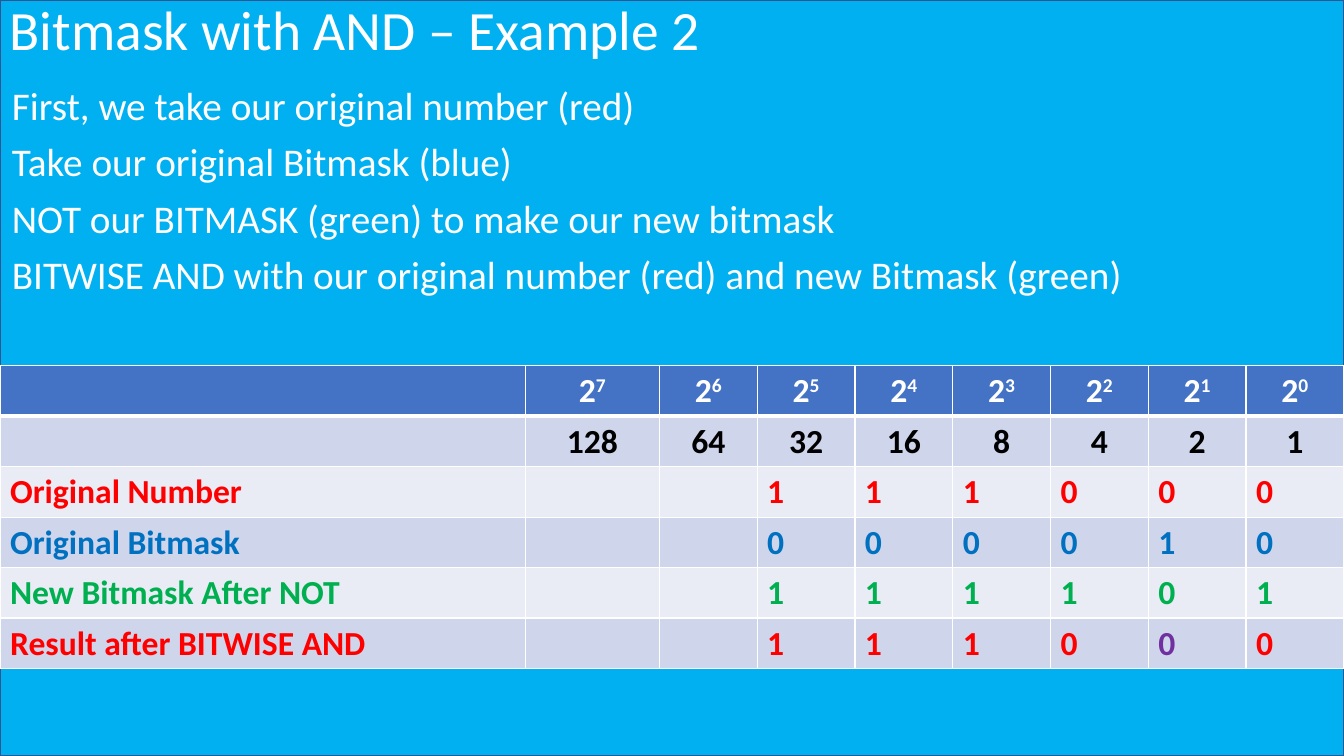
from lxml import etree
from pptx import Presentation
from pptx.dml.color import RGBColor
from pptx.enum.shapes import MSO_SHAPE
from pptx.enum.text import MSO_ANCHOR, PP_ALIGN
from pptx.oxml.ns import qn
from pptx.util import Inches, Pt

RECTANGLE = MSO_SHAPE.RECTANGLE
TOP, MIDDLE = MSO_ANCHOR.TOP, MSO_ANCHOR.MIDDLE
LEFT, CENTER = PP_ALIGN.LEFT, PP_ALIGN.CENTER

WIDTH, HEIGHT = 13.33, 7.5
FONT = "Calibri"
WHITE, BLACK = "FFFFFF", "000000"
RED, BLUE, GREEN, PURPLE = "FF0000", "0070C0", "00B050", "7030A0"
SKY, OUTLINE = "00B0F0", "325491"
HEADER_FILL, BAND_FILLS = "4472C4", ("CFD5EA", "E9EBF5")

TITLE = "Bitmask with AND – Example 2"
STEPS = [
    "First, we take our original number (red)",
    "Take our original Bitmask (blue)",
    "NOT our BITMASK (green) to make our new bitmask",
    "BITWISE AND with our original number (red) and new Bitmask (green)",
]
BITS = 8
BIT_ROWS = [
    ("Original Number", "111000", RED),
    ("Original Bitmask", "000010", BLUE),
    ("New Bitmask After NOT", "111101", GREEN),
    ("Result after BITWISE AND", "111000", RED),
]
CLEARED_BIT = (5, 7)
LABEL_WIDTH, FIRST_BIT_WIDTH, BIT_WIDTH = 5.21, 1.33, 0.97
TABLE_TOP, ROW_HEIGHT = 3.63, 0.5


def rgb(value):
    """Turn a hex string into a colour."""
    return RGBColor.from_string(value)


def style(para, size, color, bold=False):
    """Set the font of a whole paragraph."""
    para.font.name = FONT
    para.font.size = Pt(size)
    para.font.bold = bold
    para.font.color.rgb = rgb(color)


def add_text(page, lines, left, top, height, size, anchor):
    """Add a text box with one paragraph for each line."""
    box = page.shapes.add_textbox(Inches(left), Inches(top), Inches(WIDTH), Inches(height))
    frame = box.text_frame
    frame.word_wrap = True
    frame.vertical_anchor = anchor
    for index, line in enumerate(lines):
        para = frame.add_paragraph() if index else frame.paragraphs[0]
        para.text = line
        para.line_spacing = 0.9
        para.space_before = Pt(10 if index else 0)
        style(para, size, WHITE)


def add_borders(cell, bottom):
    """Draw white borders around a table cell."""
    properties = cell._tc.get_or_add_tcPr()
    for side, width in (("L", 1), ("R", 1), ("T", 1), ("B", bottom)):
        line = etree.SubElement(properties, qn(f"a:ln{side}"), w=str(Pt(width)))
        fill = etree.SubElement(line, qn("a:solidFill"))
        etree.SubElement(fill, qn("a:srgbClr"), val=WHITE)


def table_rows():
    """Return each row as cells of text, superscript and colour."""
    powers = range(BITS - 1, -1, -1)
    empty = ("", "", BLACK)
    rows = [
        [empty] + [("2", str(power), WHITE) for power in powers],
        [empty] + [(str(2 ** power), "", BLACK) for power in powers],
    ]
    for label, bits, color in BIT_ROWS:
        gap = [empty] * (BITS - len(bits))
        rows.append([(label, "", color)] + gap + [(bit, "", color) for bit in bits])
    row, column = CLEARED_BIT
    rows[row][column] = (rows[row][column][0], "", PURPLE)
    return rows


def fill_cell(cell, row, text, power, color):
    """Write and colour one table cell."""
    add_borders(cell, 1 if row else 3)
    cell.fill.solid()
    cell.fill.fore_color.rgb = rgb(BAND_FILLS[(row - 1) % 2] if row else HEADER_FILL)
    cell.vertical_anchor = TOP if row < 2 else MIDDLE
    para = cell.text_frame.paragraphs[0]
    para.alignment = CENTER if row < 2 else LEFT
    style(para, 24, color, True)
    if text:
        para.add_run().text = text
    if power:
        span = para.add_run()
        span.text = power
        span._r.get_or_add_rPr().set("baseline", "30000")


def add_bit_table(page):
    """Add the table of place values and bits."""
    rows = table_rows()
    widths = [LABEL_WIDTH, FIRST_BIT_WIDTH] + [BIT_WIDTH] * (BITS - 1)
    table = page.shapes.add_table(
        len(rows), len(widths), 0, Inches(TABLE_TOP),
        Inches(WIDTH), Inches(ROW_HEIGHT * len(rows)),
    ).table
    for column, width in zip(table.columns, widths):
        column.width = Inches(width)
    for row, cells in enumerate(rows):
        for column, content in enumerate(cells):
            fill_cell(table.cell(row, column), row, *content)


def main():
    """Build the slide and save it."""
    deck = Presentation()
    deck.slide_width, deck.slide_height = Inches(WIDTH), Inches(HEIGHT)
    page = deck.slides.add_slide(deck.slide_layouts[6])
    backdrop = page.shapes.add_shape(RECTANGLE, 0, 0, deck.slide_width, deck.slide_height)
    backdrop.shadow.inherit = False
    backdrop.fill.solid()
    backdrop.fill.fore_color.rgb = rgb(SKY)
    backdrop.line.color.rgb = rgb(OUTLINE)
    backdrop.line.width = Pt(1)
    add_text(page, [TITLE], 0, 0, 0.64, 39.6, MIDDLE)
    add_text(page, STEPS, 0.02, 0.81, 6.69, 28, TOP)
    add_bit_table(page)
    deck.save("out.pptx")


if __name__ == "__main__":
    main()
